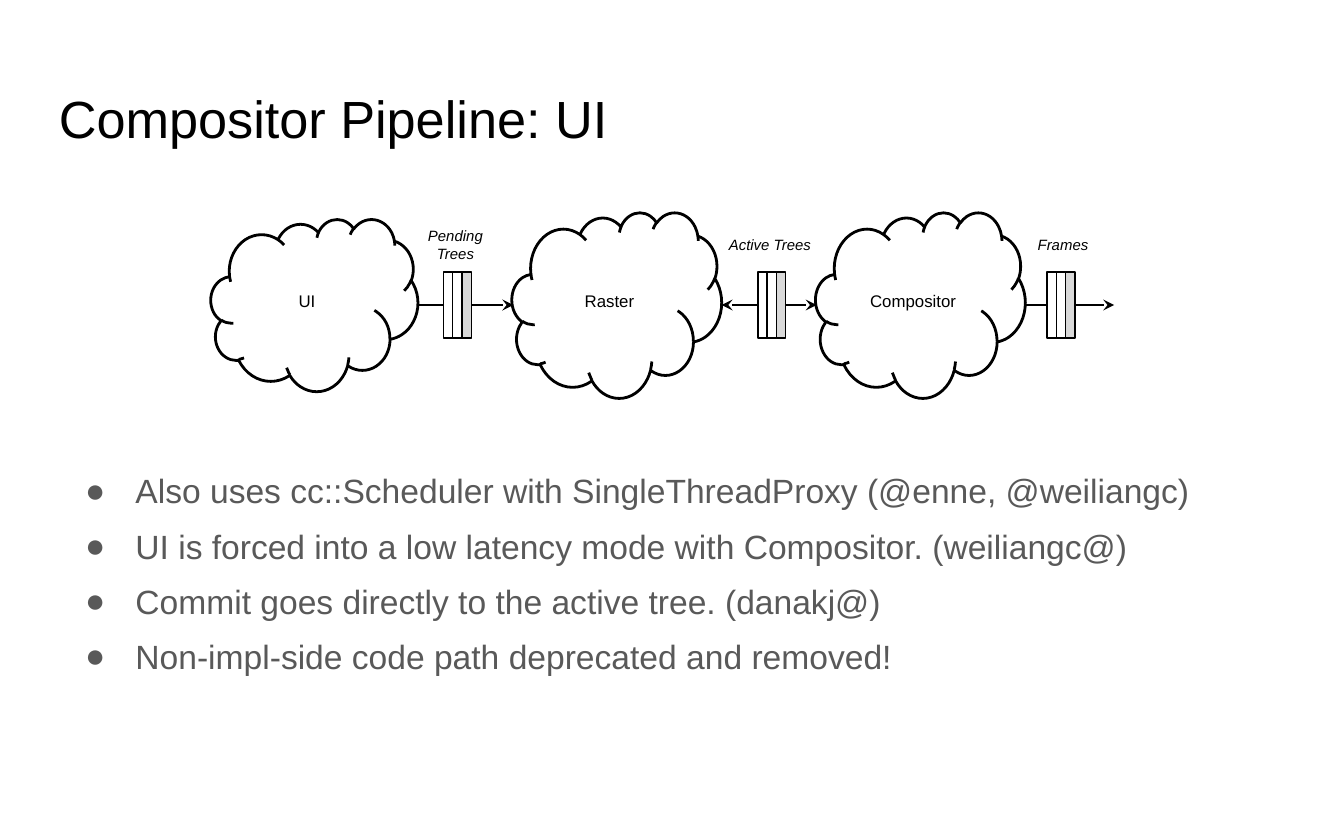
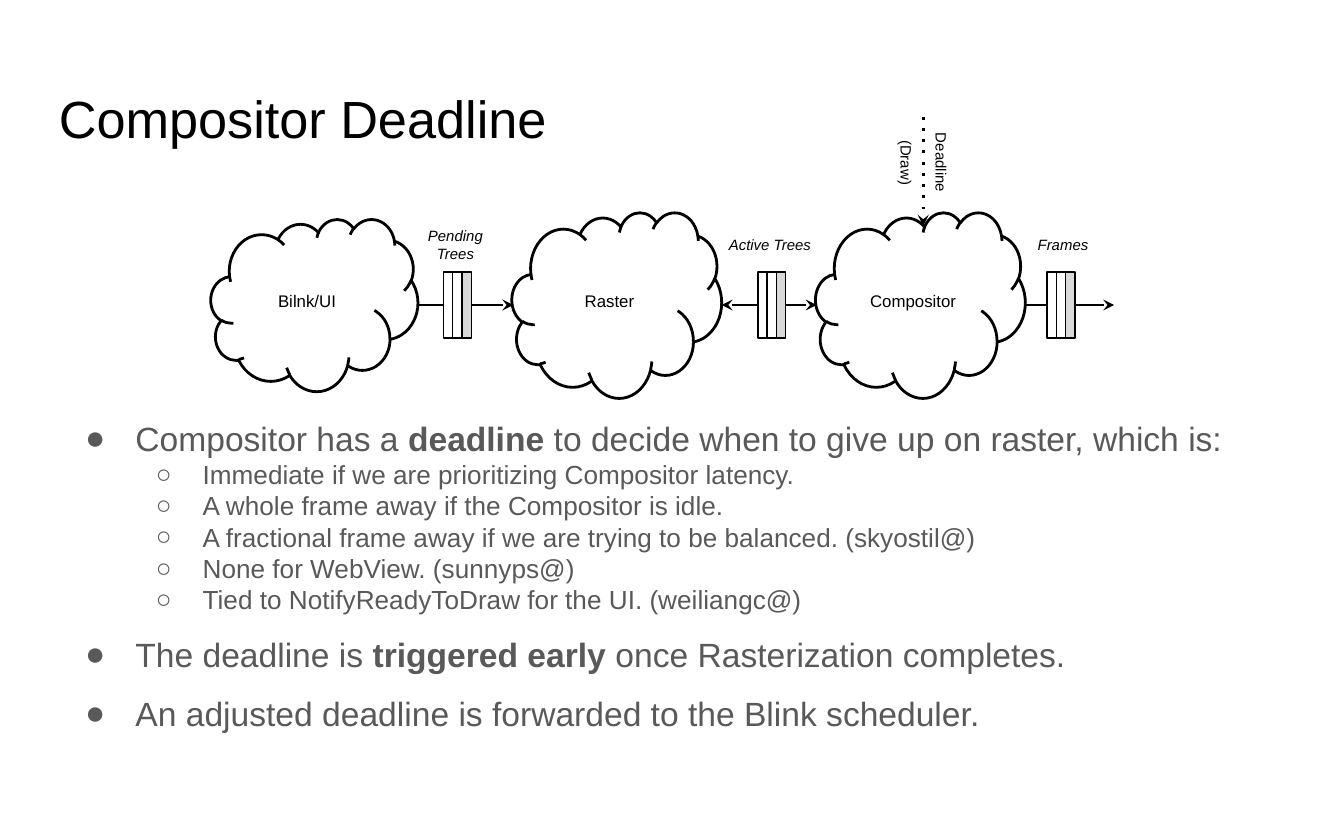
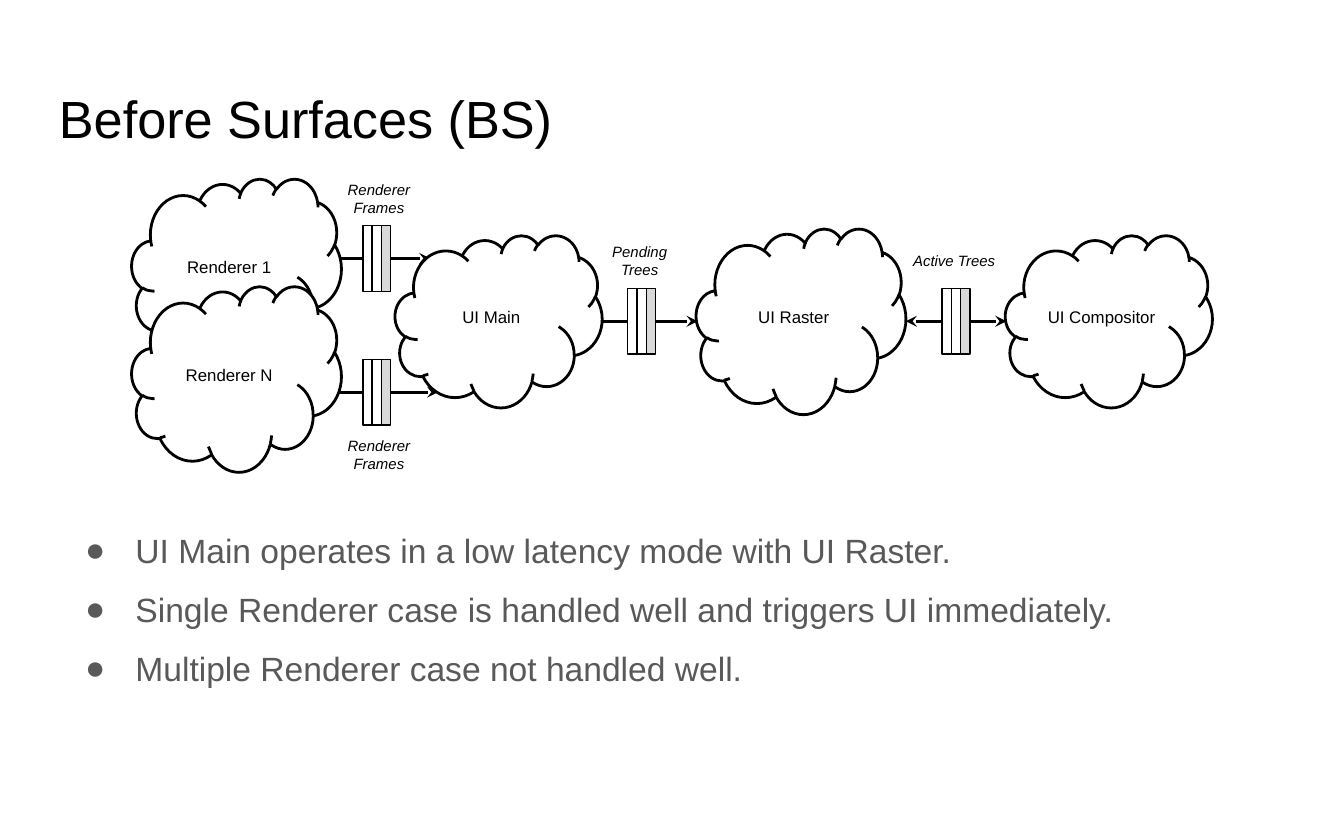
import pptx
import pptx.dml.color
import pptx.enum.shapes
import pptx.enum.text
import pptx.oxml
import pptx.oxml.ns
import pptx.util
from lxml import etree

Pt = pptx.util.Pt
SHAPE = pptx.enum.shapes.MSO_SHAPE
ANCHOR = pptx.enum.text.MSO_ANCHOR
ALIGN = pptx.enum.text.PP_ALIGN

FONT = "Arial"
COLORS = {"ink": "000000", "body": "595959", "paper": "FFFFFF", "shade": "D9D9D9"}
BIG, SMALL = (112.3, 99.4), (110.9, 92.2)  # cloud sizes
SLOT_W, SLOT_H = 5, 35.3  # one slot of a buffer
LABEL_W, LABEL_H = 59, 28.8
LEVELS = [("●", 18, 36, -27), ("○", 14, 72, -25)]  # bullet, size, margin, indent


def rgb(name):
    return pptx.dml.color.RGBColor.from_string(COLORS[name])


def add_xml(parent, tag, **attrs):
    el = etree.SubElement(parent, pptx.oxml.ns.qn(tag))
    for key, value in attrs.items():
        el.set(key, str(value))
    return el


class Deck:
    def __init__(self):
        self.prs = pptx.Presentation()
        self.prs.slide_width, self.prs.slide_height = Pt(720), Pt(450)
        self.s = None

    def slide(self, title):
        self.s = self.prs.slides.add_slide(self.prs.slide_layouts[6])
        tf = self.box(24.5, 38.9, 671, 50.4)
        self.fill_text(tf.paragraphs[0], title, 28)

    def frame(self, sp, anchor):
        tf = sp.text_frame
        tf.word_wrap = True
        tf.vertical_anchor = anchor
        tf.margin_left = tf.margin_right = tf.margin_top = tf.margin_bottom = Pt(7.2)
        return tf

    def box(self, x, y, w, h, anchor=ANCHOR.TOP, rotation=0):
        sp = self.s.shapes.add_textbox(Pt(x), Pt(y), Pt(w), Pt(h))
        sp.rotation = rotation
        return self.frame(sp, anchor)

    def fill_text(self, p, text, size, color="ink", align=ALIGN.LEFT, italic=False):
        """Fill a paragraph; parts between asterisks are bold."""
        for i, part in enumerate(text.split("*")):
            r = p.add_run()
            r.text = part
            if i % 2:
                r.font.bold = True
        p.alignment = align
        p.font.name, p.font.size, p.font.italic = FONT, Pt(size), italic
        p.font.color.rgb = rgb(color)

    def shape(self, shapes, kind, x, y, w, h, fill, weight):
        sp = shapes.add_shape(kind, Pt(x), Pt(y), Pt(w), Pt(h))
        sp.shadow.inherit = False
        sp.fill.solid()
        sp.fill.fore_color.rgb = rgb(fill)
        sp.line.color.rgb = rgb("ink")
        sp.line.width = Pt(weight)
        return sp

    def cloud(self, text, x, mid, size):
        w, h = size
        sp = self.shape(self.s.shapes, SHAPE.CLOUD, x, mid - h / 2, w, h, "paper", 1.5)
        tf = self.frame(sp, ANCHOR.MIDDLE)
        self.fill_text(tf.paragraphs[0], text, 9, align=ALIGN.CENTER)

    def arrow(self, x1, y1, x2, y2, both=False, dotted=False):
        kind = pptx.enum.shapes.MSO_CONNECTOR.STRAIGHT
        sp = self.s.shapes.add_connector(kind, Pt(x1), Pt(y1), Pt(x2), Pt(y2))
        sp.line.color.rgb = rgb("ink")
        sp.line.width = Pt(1.5)
        spPr = sp._element.spPr
        ln = spPr.find(pptx.oxml.ns.qn("a:ln"))
        if dotted:
            add_xml(ln, "a:prstDash", val="dot")
        if both:
            add_xml(ln, "a:headEnd", type="stealth")
        add_xml(ln, "a:tailEnd", type="stealth")
        add_xml(spPr, "a:effectLst")

    def buffer(self, x, mid):
        group = self.s.shapes.add_group_shape()
        for i, fill in enumerate(("paper", "paper", "shade")):
            self.shape(group.shapes, SHAPE.RECTANGLE, x + i * SLOT_W, mid - SLOT_H / 2,
                       SLOT_W, SLOT_H, fill, 0.75)

    def label(self, text, cx, cy):
        tf = self.box(cx - LABEL_W / 2, cy - LABEL_H / 2, LABEL_W, LABEL_H, ANCHOR.MIDDLE)
        self.fill_text(tf.paragraphs[0], text, 8, align=ALIGN.CENTER, italic=True)

    def link(self, text, x1, x2, mid, buffer_x, label_cx, both=False):
        """Arrow through a buffer, with its label above."""
        self.arrow(x1, mid, x2, mid, both)
        self.buffer(buffer_x, mid)
        self.label(text, label_cx, mid - 32.4)

    def pipeline(self, names, x, mid, last_x, last_size):
        """Three clouds joined by the pending and active trees."""
        self.cloud(names[0], x, mid, SMALL)
        self.cloud(names[1], x + 161.3, mid, BIG)
        self.cloud(names[2], last_x, mid, last_size)
        self.link("Pending Trees", x + 110.9, x + 162, mid, x + 124.6, x + 131)
        self.link("Active Trees", x + 273.6, last_x + 0.5, mid, x + 293, x + 299.5, True)

    def compositor_pipeline(self, source):
        self.pipeline((source, "Raster", "Compositor"), 113, 163.4, 437, BIG)
        self.link("Frames", 549.4, 596.9, 163.4, 560.9, 569.5)

    def bullets(self, y, h, gap, items):
        """Items are (level, text); gap goes above each later top-level item."""
        tf = self.box(29.5, y, 648, h)
        for i, (level, text) in enumerate(items):
            p = tf.add_paragraph() if i else tf.paragraphs[0]
            char, size, margin, indent = LEVELS[level]
            p.level = level
            pPr = p._p.get_or_add_pPr()
            pPr.set("marL", str(Pt(margin)))
            pPr.set("indent", str(Pt(indent)))
            add_xml(add_xml(pPr, "a:buClr"), "a:srgbClr", val=COLORS["body"])
            add_xml(pPr, "a:buFont", typeface=FONT)
            add_xml(pPr, "a:buChar", char=char)
            p.space_before = Pt(gap if i and level == 0 else 0)
            self.fill_text(p, text, size, "body")


def main():
    deck = Deck()

    # Slide 1: UI pipeline
    deck.slide("Compositor Pipeline: UI")
    deck.compositor_pipeline("UI")
    deck.bullets(244.8, 165.6, 8, [
        (0, "Also uses cc::Scheduler with SingleThreadProxy (@enne, @weiliangc)"),
        (0, "UI is forced into a low latency mode with Compositor. (weiliangc@)"),
        (0, "Commit goes directly to the active tree. (danakj@)"),
        (0, "Non-impl-side code path deprecated and removed!"),
    ])

    # Slide 2: deadline
    deck.slide("Compositor Deadline")
    deck.compositor_pipeline("Bilnk/UI")
    deck.bullets(216.7, 212.4, 10, [
        (0, "Compositor has a *deadline* to decide when to give up on raster, which is:"),
        (1, "Immediate if we are prioritizing Compositor latency."),
        (1, "A whole frame away if the Compositor is idle."),
        (1, "A fractional frame away if we are trying to be balanced. (skyostil@)"),
        (1, "None for WebView. (sunnyps@)"),
        (1, "Tied to NotifyReadyToDraw for the UI. (weiliangc@)"),
        (0, "The deadline is *triggered early* once Rasterization completes."),
        (0, "An adjusted deadline is forwarded to the Blink scheduler."),
    ])
    deck.arrow(494.6, 62.6, 494.6, 121, dotted=True)
    tf = deck.box(465.1, 69.1, 59.8, 36, ANCHOR.MIDDLE, rotation=90)
    deck.fill_text(tf.paragraphs[0], "Deadline", 8, align=ALIGN.CENTER)
    p = tf.add_paragraph()
    p.space_before = Pt(9.2)
    deck.fill_text(p, "(Draw)", 8, align=ALIGN.CENTER)

    # Slide 3: renderers feeding the UI
    deck.slide("Before Surfaces (BS)")
    deck.bullets(276.5, 138.2, 10, [
        (0, "UI Main operates in a low latency mode with UI Raster."),
        (0, "Single Renderer case is handled well and triggers UI immediately."),
        (0, "Multiple Renderer case not handled well."),
    ])
    renderers = [("Renderer 1", 145.4, 138.4, 230.4, 106.2),
                 ("Renderer N", 203, 210.1, 234.7, 243.7)]
    for name, cloud_mid, mid, tip_x, label_cy in renderers:
        deck.arrow(133, mid, tip_x, mid)
    for name, cloud_mid, mid, tip_x, label_cy in renderers:
        deck.cloud(name, 70.6, cloud_mid, BIG)
        deck.buffer(194.4, mid)
        deck.label("Renderer Frames", 203, label_cy)
    deck.pipeline(("UI Main", "UI Raster", "UI Compositor"), 211.7, 172.1, 538.6, SMALL)

    deck.prs.save("out.pptx")


if __name__ == "__main__":
    main()
